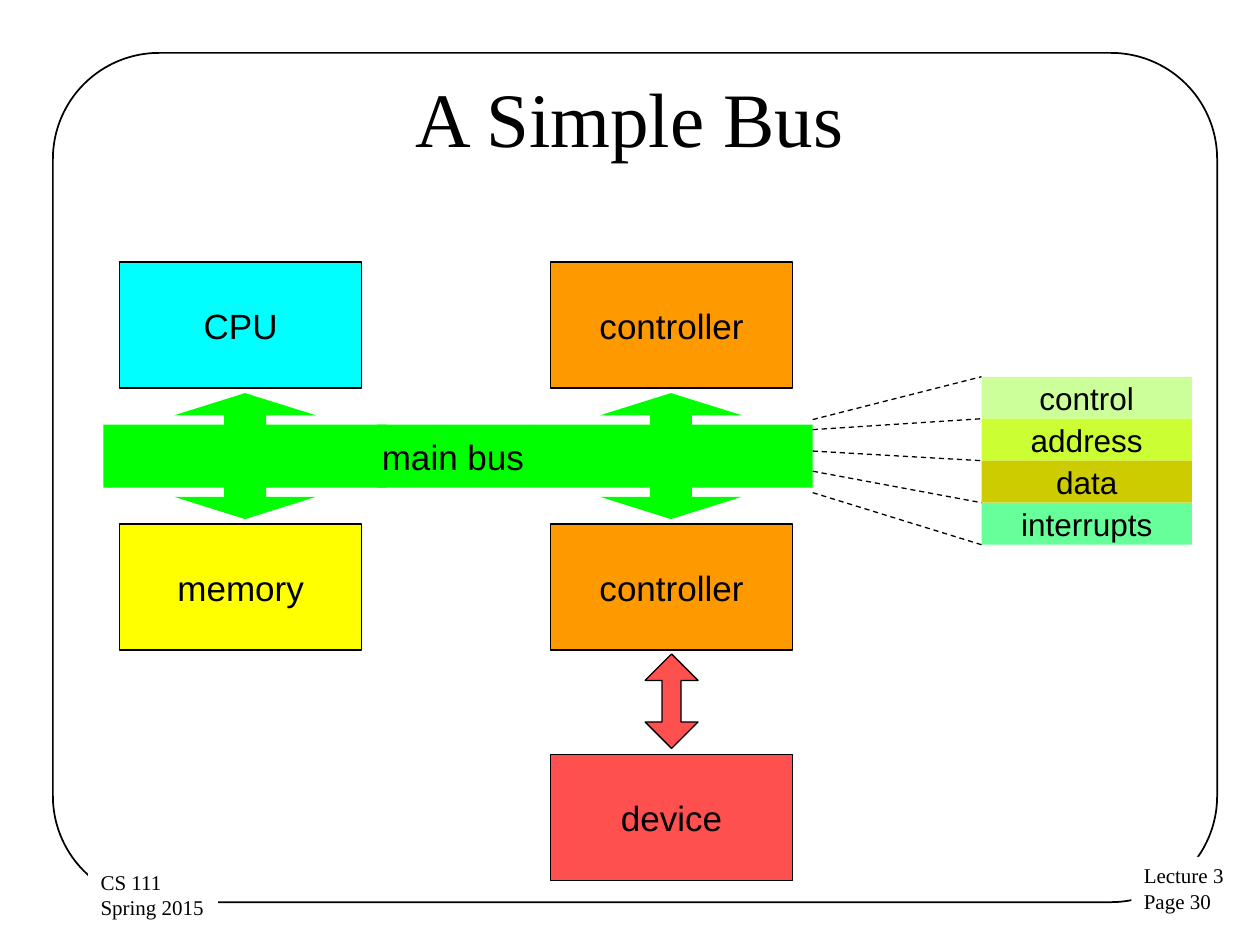
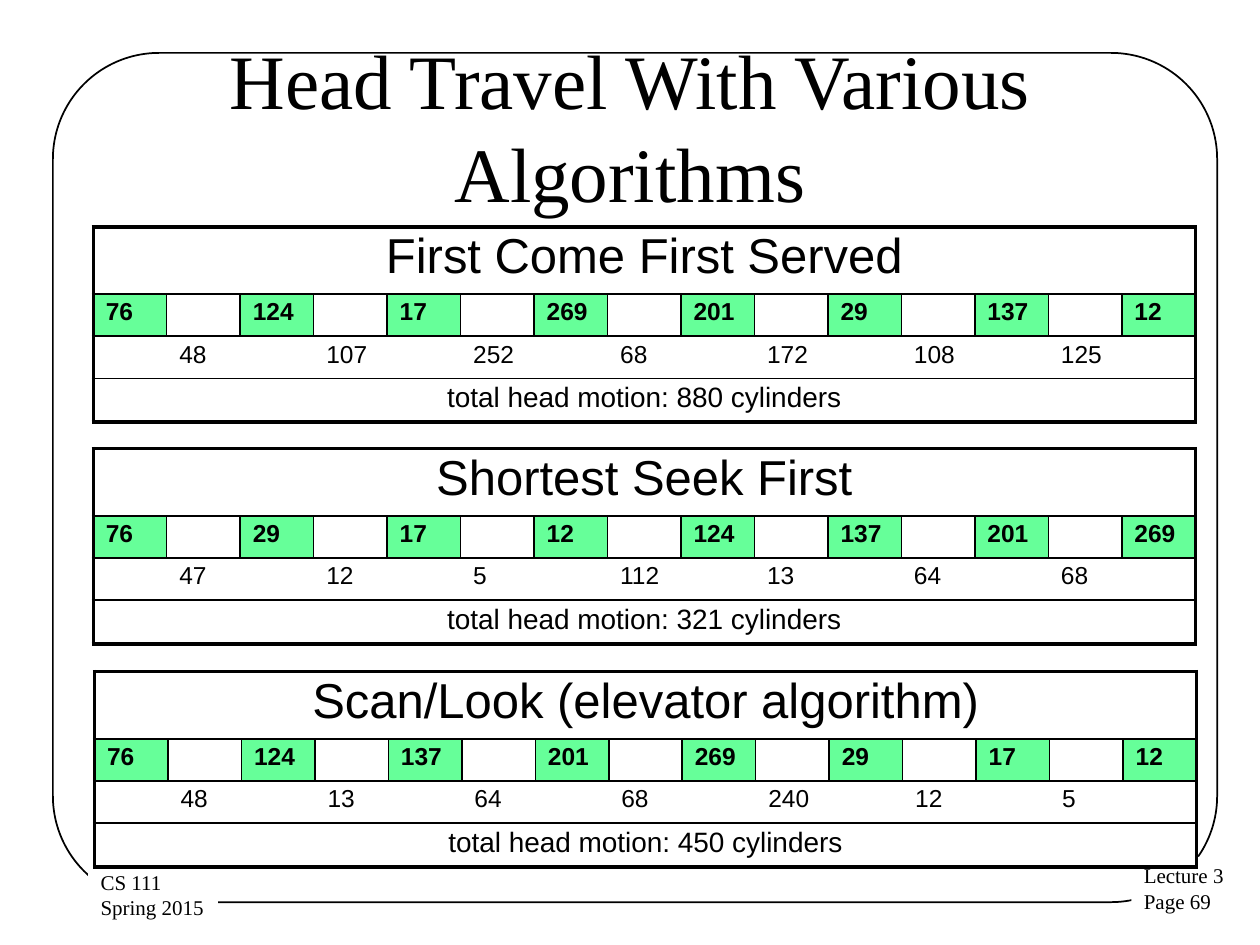
from lxml import etree
from pptx import Presentation
from pptx.dml.color import RGBColor
from pptx.enum.dml import MSO_LINE
from pptx.enum.shapes import MSO_CONNECTOR, MSO_SHAPE
from pptx.enum.text import MSO_ANCHOR, MSO_AUTO_SIZE, PP_ALIGN
from pptx.oxml.ns import qn
from pptx.util import Inches, Pt

BLACK = RGBColor(0x00, 0x00, 0x00)
WHITE = RGBColor(0xFF, 0xFF, 0xFF)
GREEN = RGBColor(0x00, 0xFF, 0x00)
ORANGE = RGBColor(0xFF, 0x99, 0x00)
RED = RGBColor(0xFF, 0x50, 0x50)
CYAN = RGBColor(0x00, 0xFF, 0xFF)
YELLOW = RGBColor(0xFF, 0xFF, 0x00)
PALE_LIME = RGBColor(0xCC, 0xFF, 0x99)
LIME = RGBColor(0xCC, 0xFF, 0x33)
OLIVE = RGBColor(0xCC, 0xCC, 0x00)
MINT = RGBColor(0x66, 0xFF, 0x99)

SERIF = "Times New Roman"
SANS = "Arial"
RECT = MSO_SHAPE.RECTANGLE
ROUNDED = MSO_SHAPE.ROUNDED_RECTANGLE
CALLOUT = MSO_SHAPE.UP_DOWN_ARROW_CALLOUT
UP_DOWN = MSO_SHAPE.UP_DOWN_ARROW
STRAIGHT = MSO_CONNECTOR.STRAIGHT
DASH = MSO_LINE.DASH
TOP, MIDDLE = MSO_ANCHOR.TOP, MSO_ANCHOR.MIDDLE
LEFT, CENTER = PP_ALIGN.LEFT, PP_ALIGN.CENTER
NO_FIT = MSO_AUTO_SIZE.NONE
GROW = MSO_AUTO_SIZE.SHAPE_TO_FIT_TEXT

PLAIN_TABLE = "{2D5ABB26-0587-4C30-8999-92F81FD0307C}"
THIN, THICK = 1, 2.25
COLS = 15
ROW_HEIGHTS = (0.51, 0.32, 0.32, 0.33)

SCHEDULES = [
    ("First Come First Served", 0.74, 1.8,
     (76, 124, 17, 269, 201, 29, 137, 12)),
    ("Shortest Seek First", 0.74, 3.56,
     (76, 29, 17, 12, 124, 137, 201, 269)),
    ("Scan/Look (elevator algorithm)", 0.75, 5.33,
     (76, 124, 137, 201, 269, 29, 17, 12)),
]


def add_text(p, text, size, font, align=LEFT, bold=False):
    p.alignment = align
    r = p.add_run()
    r.text = text
    r.font.size = Pt(size)
    r.font.name = font
    r.font.bold = bold
    r.font.color.rgb = BLACK


def add_shape(s, kind, box, fill=None, line=None, adj=()):
    sp = s.shapes.add_shape(kind, *[Inches(v) for v in box])
    sp.shadow.inherit = False
    for i, value in enumerate(adj):
        sp.adjustments[i] = value
    if fill is None:
        sp.fill.background()
    else:
        sp.fill.solid()
        sp.fill.fore_color.rgb = fill
    if line is None:
        sp.line.fill.background()
    else:
        sp.line.color.rgb = BLACK
        sp.line.width = Pt(line)
    return sp


def add_box(s, text, box, fill, line=None, size=20):
    tf = add_shape(s, RECT, box, fill, line).text_frame
    tf.word_wrap = False
    tf.vertical_anchor = MIDDLE
    add_text(tf.paragraphs[0], text, size, SANS, CENTER)


def add_footer(s, lines, box):
    tf = add_shape(s, RECT, box, WHITE).text_frame
    tf.word_wrap = False
    tf.auto_size = GROW
    tf.vertical_anchor = TOP
    for i, text in enumerate(lines):
        p = tf.add_paragraph() if i else tf.paragraphs[0]
        add_text(p, text, 12, SERIF)


def add_dashed_line(s, start, end):
    cx = s.shapes.add_connector(STRAIGHT, *[Inches(v) for v in start + end])
    cx.line.color.rgb = BLACK
    cx.line.width = Pt(0.75)
    cx.line.dash_style = DASH
    etree.SubElement(cx._element.spPr, qn("a:effectLst"))


def add_slide(prs, title, page, top):
    s = prs.slides.add_slide(prs.slide_layouts[5])
    add_shape(s, ROUNDED, (0.42, 0.42, 9.24, 6.74), line=1, adj=(0.125,))
    add_footer(s, ("Lecture 3", f"Page {page}"), (8.98, 6.8, 0.84, 0.51))
    add_footer(s, ("CS 111", "Spring 2015"), (0.7, 6.85, 1.03, 0.51))
    sp = s.shapes.title
    sp.left, sp.top = Inches(0.5), Inches(top)
    sp.width, sp.height = Inches(9), Inches(1.25)
    tf = sp.text_frame
    tf.word_wrap = True
    tf.auto_size = NO_FIT
    tf.vertical_anchor = MIDDLE
    add_text(tf.paragraphs[0], title, 44, SERIF, CENTER)
    return s


def set_borders(cell, widths):
    tc_pr = cell._tc.get_or_add_tcPr()
    for side, width in zip("LRTB", widths):
        ln = etree.SubElement(tc_pr, qn(f"a:ln{side}"), w=str(Pt(width)))
        if width:
            fill = etree.SubElement(ln, qn("a:solidFill"))
            etree.SubElement(fill, qn("a:srgbClr"), val=str(BLACK))
        else:
            etree.SubElement(ln, qn("a:noFill"))


def fill_cell(cell, text, size, align=LEFT, bold=False):
    p = cell.text_frame.paragraphs[0]
    if not text:
        etree.SubElement(p._p, qn("a:endParaRPr"), sz=str(size * 100))
        return
    p.line_spacing = 0.93
    p.space_after = Pt(14.1)
    add_text(p, text, size, SANS, align, bold)
    p_pr = p._p.get_or_add_pPr()
    p_pr.set("marL", str(Inches(0.12)))
    p_pr.set("indent", str(-Inches(0.12)))


def style_cell(cell, row, col):
    last_row, last_col = len(ROW_HEIGHTS) - 1, COLS - 1
    merged = row in (0, last_row)
    inner = THIN if row == 1 else 0
    set_borders(cell, (
        THICK if col == 0 else inner,
        THICK if col == last_col or (merged and col == 0) else inner,
        THICK if row == 0 else THIN,
        THICK if row == last_row else THIN))
    if row == 1 and col % 2 == 0:
        cell.fill.solid()
        cell.fill.fore_color.rgb = MINT
    else:
        cell.fill.background()


def add_schedule(s, name, left, top, stops):
    moves = [abs(b - a) for a, b in zip(stops, stops[1:])]
    texts = [[""] * COLS for _ in ROW_HEIGHTS]
    texts[0][0] = name
    texts[1][::2] = [str(v) for v in stops]
    texts[2][1::2] = [str(v) for v in moves]
    texts[3][0] = f"total head motion: {sum(moves)} cylinders"
    sizes = (28, 14, 14, 16)

    table = s.shapes.add_table(
        len(ROW_HEIGHTS), COLS, Inches(left), Inches(top),
        Inches(8.75), Inches(sum(ROW_HEIGHTS))).table
    table.first_row = table.horz_banding = False
    table._tbl.tblPr.find(qn("a:tableStyleId")).text = PLAIN_TABLE
    for column in table.columns:
        column.width = Inches(8.75 / COLS)
    for row, height in enumerate(ROW_HEIGHTS):
        table.rows[row].height = Inches(height)
        align = CENTER if row in (0, 3) else LEFT
        for col in range(COLS):
            cell = table.cell(row, col)
            fill_cell(cell, texts[row][col], sizes[row], align, row == 1)
            style_cell(cell, row, col)
    for row in (0, 3):
        table.cell(row, 0).merge(table.cell(row, COLS - 1))


def build_bus(prs):
    s = add_slide(prs, "A Simple Bus", 30, 0.3)
    for left in (0.82, 4.2):
        add_shape(s, CALLOUT, (left, 3.12, 2.25, 1), GREEN,
                  adj=(0.333, 0.562, 0.176, 0.5))
    add_box(s, "main bus", (2.99, 3.37, 1.21, 0.5), GREEN)
    for text, left, top, fill in (
            ("controller", 4.37, 2.08, ORANGE),
            ("controller", 4.37, 4.16, ORANGE),
            ("device", 4.37, 5.99, RED),
            ("CPU", 0.95, 2.08, CYAN),
            ("memory", 0.95, 4.16, YELLOW)):
        add_box(s, text, (left, top, 1.92, 1), fill, 0.75)
    add_shape(s, UP_DOWN, (5.12, 5.19, 0.42, 0.75), RED, 0.75, (0.5, 0.36))

    signals = (("control", PALE_LIME), ("address", LIME),
               ("data", OLIVE), ("interrupts", MINT))
    pitch = 1 / 3
    for i, (text, fill) in enumerate(signals):
        add_box(s, text, (7.79, 2.99 + i * pitch, 1.67, pitch), fill, size=18)
    for i, y in enumerate((3.33, 3.41, 3.58, 3.74, 3.91)):
        add_dashed_line(s, (6.45, y), (7.79, 2.99 + i * pitch))


def build_head_travel(prs):
    s = add_slide(prs, "Head Travel With Various Algorithms", 69, 0.37)
    for schedule in SCHEDULES:
        add_schedule(s, *schedule)


def main():
    prs = Presentation()
    prs.slide_width, prs.slide_height = Inches(10), Inches(7.5)
    build_bus(prs)
    build_head_travel(prs)
    prs.save("out.pptx")


main()
